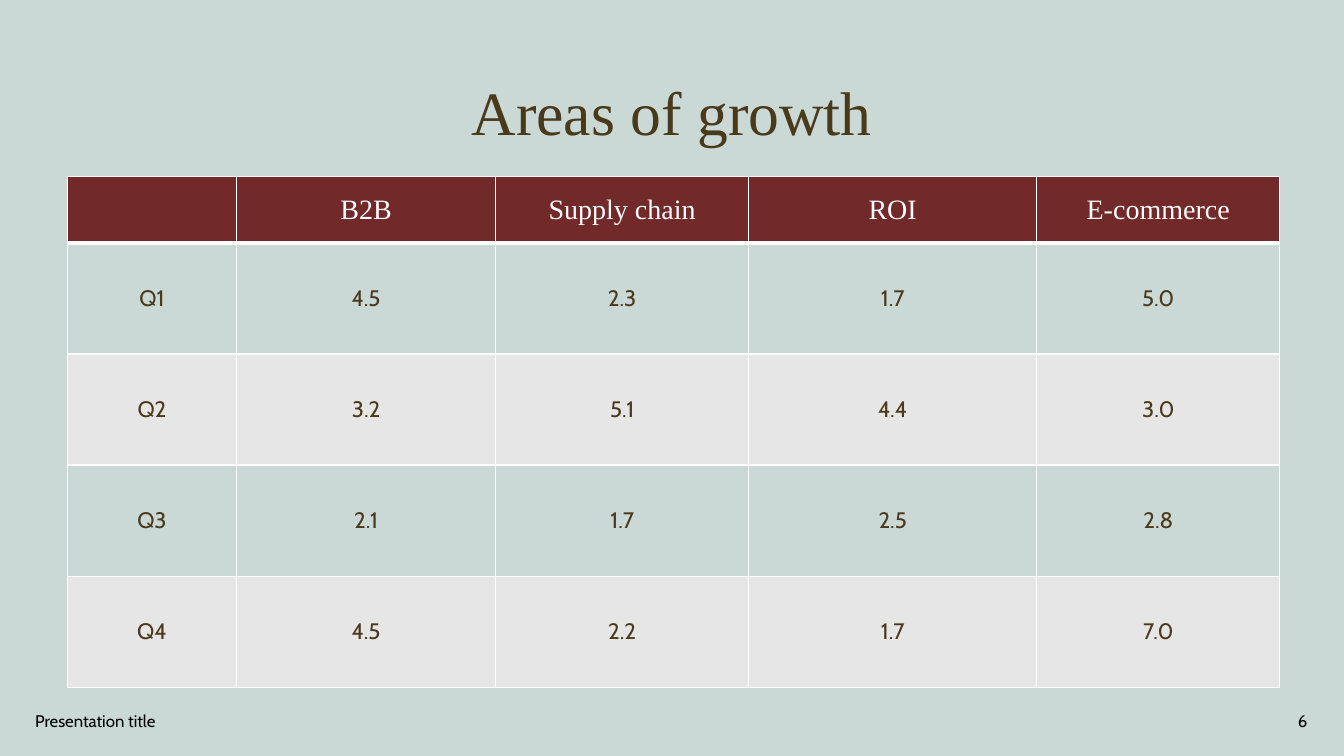
from lxml.etree import SubElement
from pptx import Presentation
from pptx.dml.color import RGBColor
from pptx.enum.text import MSO_ANCHOR as ANCHOR, PP_ALIGN as ALIGN
from pptx.oxml.ns import qn
from pptx.util import Pt

BACKGROUND, BAND, HEADER = "CAD8D6", "E7E6E6", "72292A"
BROWN, WHITE, BLACK = "4A3A1C", "FFFFFF", "000000"
SERIF, SANS = "Times New Roman", "Cabin"


def rgb(color):
    return RGBColor.from_string(color)


def write(tf, text, size, font, color, align):
    tf.text = text
    tf.word_wrap = True
    tf.vertical_anchor = ANCHOR.MIDDLE
    p = tf.paragraphs[0]
    p.alignment = align
    for r in p.runs:
        r.font.size = Pt(size)
        r.font.name = font
        r.font.color.rgb = rgb(color)


prs = Presentation()
prs.slide_width, prs.slide_height = Pt(960), Pt(540)
s = prs.slides.add_slide(prs.slide_layouts[6])
s.background.fill.solid()
s.background.fill.fore_color.rgb = rgb(BACKGROUND)

# Title and footer
texts = [
    ("Areas of growth", 66, 30, 828, 104.5, 44, SERIF, BROWN, ALIGN.CENTER),
    ("Presentation title", 18, 500.5, 324, 29, 12, SANS, BLACK, ALIGN.LEFT),
    ("6", 725, 500.5, 216, 29, 12, SANS, BLACK, ALIGN.RIGHT),
]
for text, left, top, width, height, size, font, color, align in texts:
    sp = s.shapes.add_textbox(Pt(left), Pt(top), Pt(width), Pt(height))
    write(sp.text_frame, text, size, font, color, align)
    sp.text_frame.paragraphs[0].line_spacing = 0.9 if size == 44 else 1

# Growth table
rows = [
    ("", "B2B", "Supply chain", "ROI", "E-commerce"),
    ("Q1", "4.5", "2.3", "1.7", "5.0"),
    ("Q2", "3.2", "5.1", "4.4", "3.0"),
    ("Q3", "2.1", "1.7", "2.5", "2.8"),
    ("Q4", "4.5", "2.2", "1.7", "7.0"),
]
widths = [120.7, 185.2, 180.7, 205.8, 173.6]
heights = [47.4] + [79.4] * 4
table = s.shapes.add_table(len(rows), len(widths), Pt(48.2), Pt(126),
                           Pt(sum(widths)), Pt(sum(heights))).table
for column, width in zip(table.columns, widths):
    column.width = Pt(width)
for row, height in zip(table.rows, heights):
    row.height = Pt(height)

for i, row in enumerate(rows):
    for j, text in enumerate(row):
        cell = table.cell(i, j)
        size, font, color = (16, SANS, BROWN) if i else (20, SERIF, WHITE)
        write(cell.text_frame, text, size, font, color, ALIGN.CENTER)
        cell.vertical_anchor = ANCHOR.MIDDLE
        # Borders must precede the fill in the cell properties
        tc_pr = cell._tc.get_or_add_tcPr()
        for side in "LRTB":
            under_header = (i, side) in [(0, "B"), (1, "T")]
            ln = SubElement(tc_pr, qn(f"a:ln{side}"), w=str(Pt(3 if under_header else 1)))
            SubElement(SubElement(ln, qn("a:solidFill")), qn("a:srgbClr"), val=WHITE)
        cell.fill.solid()
        fill = HEADER if i == 0 else BACKGROUND if i % 2 else BAND
        cell.fill.fore_color.rgb = rgb(fill)

prs.save("out.pptx")
